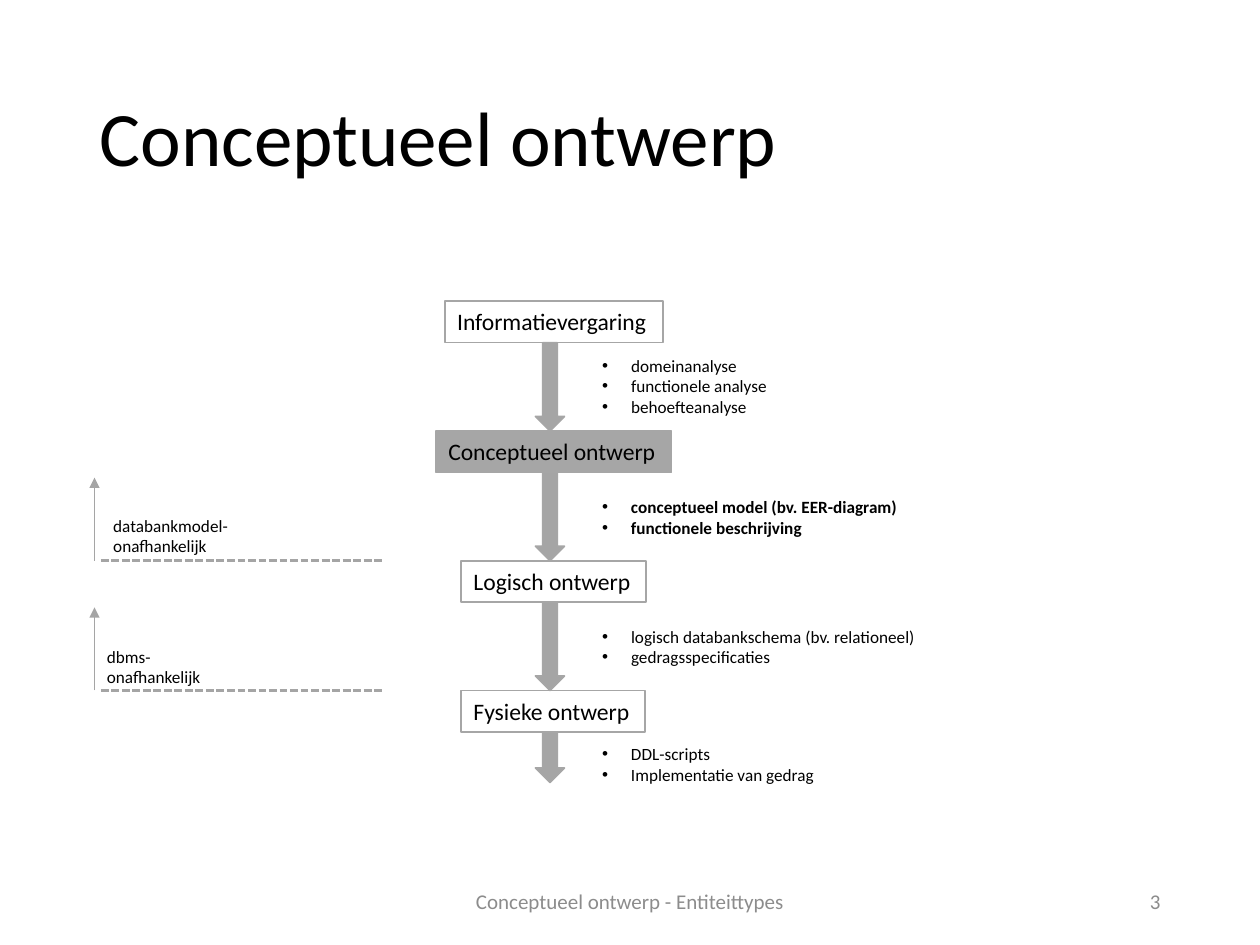
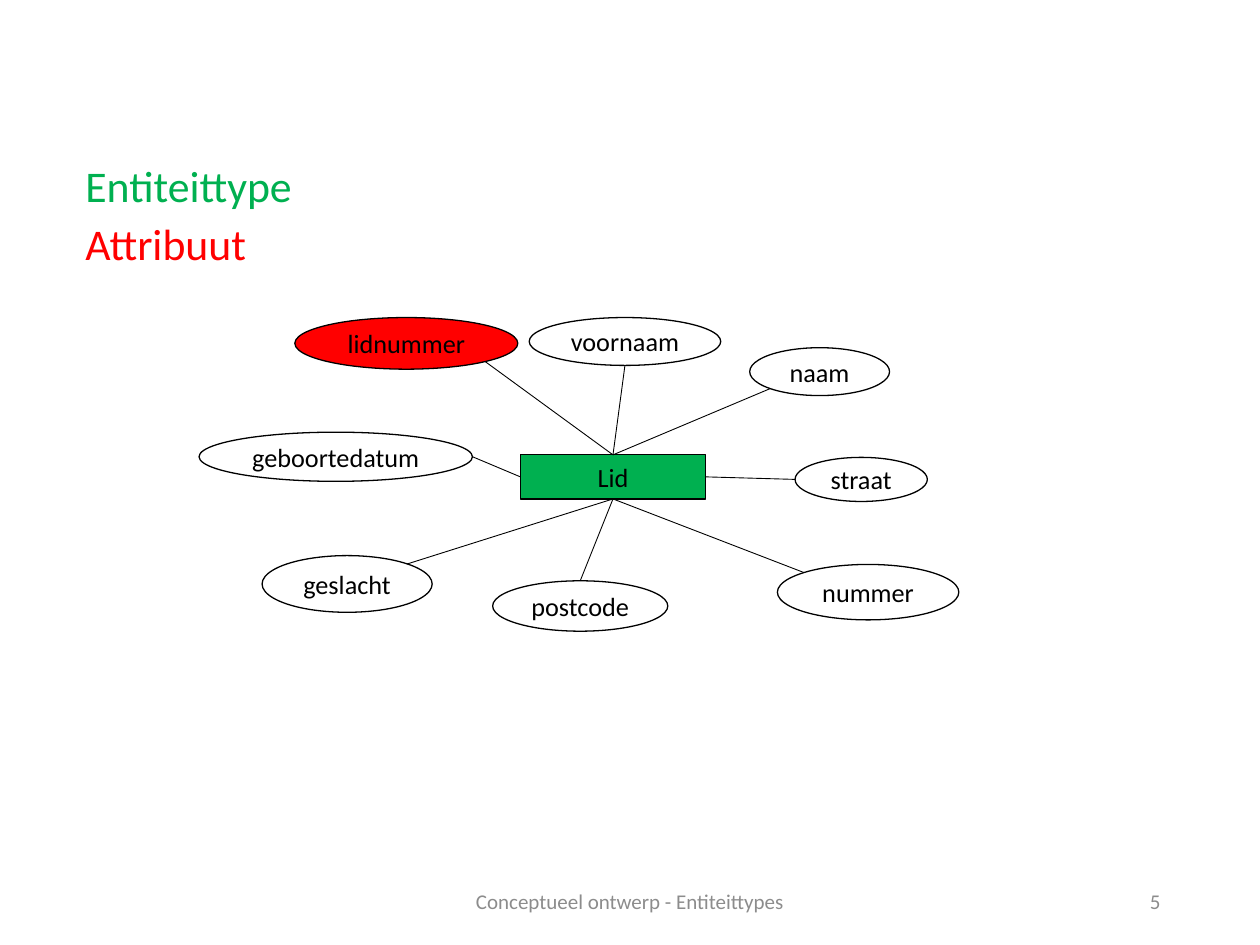
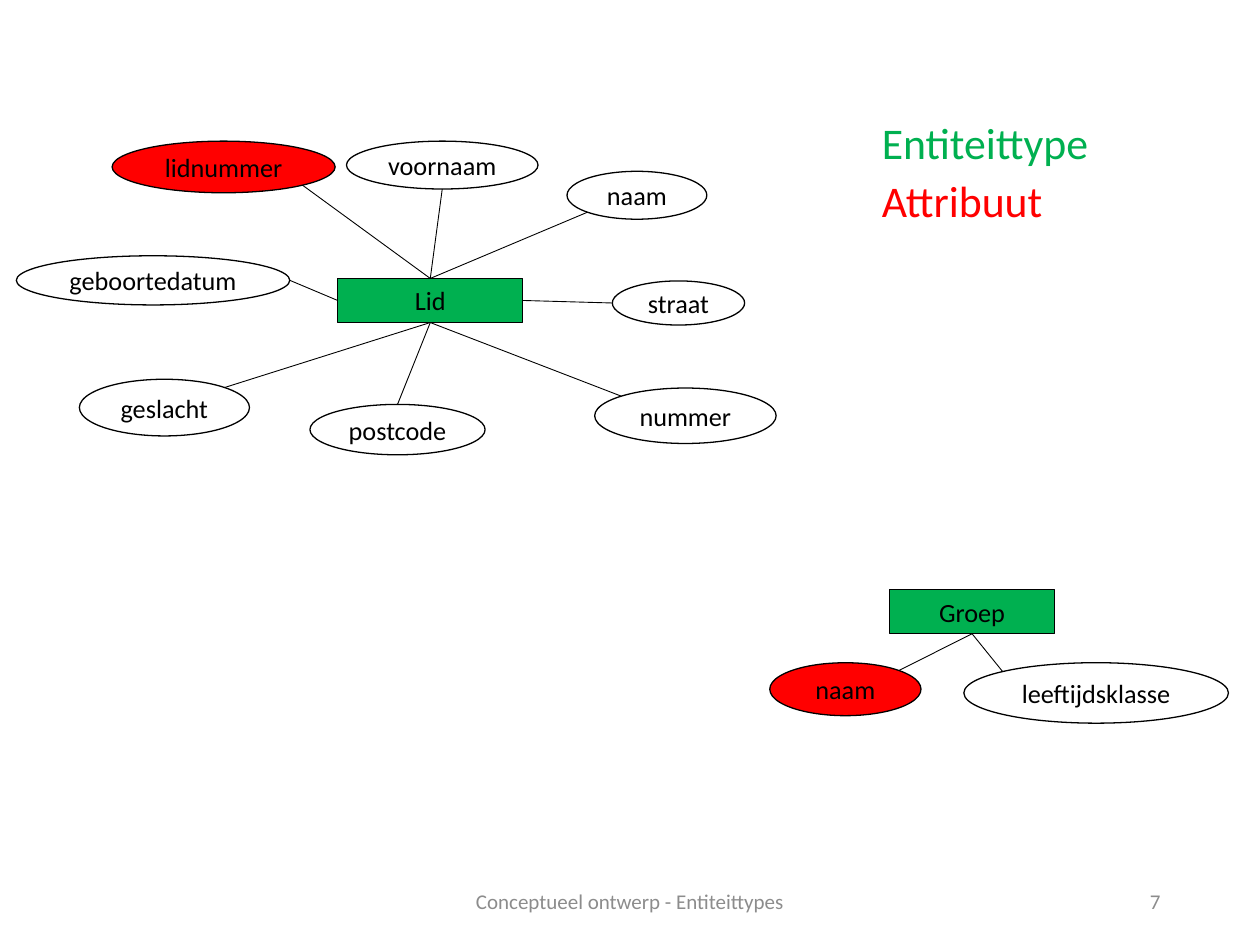
from dataclasses import dataclass
from math import sqrt

from lxml.etree import SubElement
from pptx import Presentation
from pptx.dml.color import RGBColor
from pptx.enum.dml import MSO_LINE
from pptx.enum.shapes import MSO_CONNECTOR, MSO_SHAPE
from pptx.enum.text import MSO_ANCHOR, MSO_AUTO_SIZE, PP_ALIGN
from pptx.oxml.ns import qn
from pptx.util import Pt

PX = 9144  # 100 px to the inch


@dataclass(frozen=True)
class Theme:
    font: str = "Calibri"
    black: RGBColor = RGBColor(0x00, 0x00, 0x00)
    white: RGBColor = RGBColor(0xFF, 0xFF, 0xFF)
    border: RGBColor = RGBColor(0xA6, 0xA6, 0xA6)
    arrow: RGBColor = RGBColor(0xA5, 0xA5, 0xA5)
    footer: RGBColor = RGBColor(0x8C, 0x8C, 0x8C)
    entity: RGBColor = RGBColor(0x00, 0xB0, 0x50)
    attribute: RGBColor = RGBColor(0xFF, 0x00, 0x00)
    title_size: float = 44
    legend_size: float = 25
    diagram_size: float = 15
    step_size: float = 13.5
    footer_size: float = 12
    note_size: float = 9.8


theme = Theme()


def write_text(shape, lines, size, color=theme.black, align=PP_ALIGN.LEFT,
               anchor=MSO_ANCHOR.TOP, wrap=False, bullets=False, bold=False):
    frame = shape.text_frame
    frame.text = "\n".join(lines)
    frame.word_wrap = wrap
    frame.vertical_anchor = anchor
    grows = anchor == MSO_ANCHOR.TOP
    frame.auto_size = MSO_AUTO_SIZE.SHAPE_TO_FIT_TEXT if grows else MSO_AUTO_SIZE.NONE
    for paragraph in frame.paragraphs:
        if bullets:
            properties = paragraph._p.get_or_add_pPr()
            properties.set("marL", str(23 * PX))
            properties.set("indent", str(-23 * PX))
            SubElement(properties, qn("a:buFont"), typeface="Arial")
            SubElement(properties, qn("a:buChar"), char="•")
        paragraph.alignment = align
        paragraph.font.name = theme.font
        paragraph.font.size = Pt(size)
        paragraph.font.bold = bold
        paragraph.font.color.rgb = color


def add_line(slide, x1, y1, x2, y2, color, width):
    line = slide.shapes.add_connector(
        MSO_CONNECTOR.STRAIGHT, *(round(value * PX) for value in (x1, y1, x2, y2)))
    line.line.color.rgb = color
    line.line.width = Pt(width)
    SubElement(line._element.spPr, qn("a:effectLst"))
    return line


presentation = Presentation()
presentation.slide_width = 1000 * PX
presentation.slide_height = 750 * PX
title_only, blank = presentation.slide_layouts[5], presentation.slide_layouts[6]
process_slide, lid_slide, groep_slide = (
    presentation.slides.add_slide(layout) for layout in (title_only, blank, blank))

# Title of the design process
title = process_slide.shapes.title
title.left, title.top, title.width, title.height = 69 * PX, 40 * PX, 862 * PX, 145 * PX
write_text(title, ["Conceptueel ontwerp"], theme.title_size,
           anchor=MSO_ANCHOR.MIDDLE, wrap=True)
title.text_frame.paragraphs[0].line_spacing = 0.9

# Design steps: name, width, fill, arrow length, results, results top, width, height, bold
STEP_CENTER, STEP_TOP, STEP_PITCH, STEP_HEIGHT = 439.5, 239, 103, 33
steps = [
    ("Informatievergaring", 173, theme.white, 70,
     ["domeinanalyse", "functionele analyse", "behoefteanalyse"], 277, 152, 59, False),
    ("Conceptueel ontwerp", 187, theme.border, 70,
     ["conceptueel model (bv. EER-diagram)", "functionele beschrijving"],
     389, 257, 43, True),
    ("Logisch ontwerp", 147, None, 70,
     ["logisch databankschema (bv. relationeel)", "gedragsspecificaties"],
     492, 271, 43, False),
    ("Fysieke ontwerp", 146, None, 40,
     ["DDL-scripts", "Implementatie van gedrag"], 585, 190, 43, False),
]
for index, (name, width, fill, arrow_length, results,
            results_top, results_width, results_height, bold) in enumerate(steps):
    top = STEP_TOP + index * STEP_PITCH
    box = process_slide.shapes.add_shape(
        MSO_SHAPE.RECTANGLE, int(STEP_CENTER - width / 2) * PX, top * PX,
        width * PX, STEP_HEIGHT * PX)
    arrow = process_slide.shapes.add_shape(
        MSO_SHAPE.DOWN_ARROW, 425 * PX, (top + STEP_HEIGHT) * PX, 23 * PX, arrow_length * PX)
    for shape, color in ((box, fill), (arrow, theme.arrow)):
        shape.shadow.inherit = False
        shape.line.color.rgb = theme.border
        shape.line.width = Pt(1)
        if color is None:
            shape.fill.background()
        else:
            shape.fill.solid()
            shape.fill.fore_color.rgb = color
    write_text(box, [name], theme.step_size)
    result_list = process_slide.shapes.add_textbox(
        468 * PX, results_top * PX, results_width * PX, results_height * PX)
    write_text(result_list, results, theme.note_size, bullets=True, bold=bold)

# Independence levels: boundary, label left, top, width, lines
levels = [
    (445, 80, 404, 111, ["databankmodel-", "onafhankelijk"]),
    (548, 75, 508, 95, ["dbms-", "onafhankelijk"]),
]
for boundary, left, top, width, lines in levels:
    dashes = add_line(process_slide, 80, boundary, 303, boundary, theme.arrow, 1.5)
    dashes.line.dash_style = MSO_LINE.SQUARE_DOT
    upward = add_line(process_slide, 75, boundary, 75, boundary - 66, theme.arrow, 1)
    SubElement(upward.line._get_or_add_ln(), qn("a:tailEnd"), type="triangle")
    label = process_slide.shapes.add_textbox(left * PX, top * PX, width * PX, 43 * PX)
    write_text(label, lines, theme.note_size)

# Attributes: name, offset from entity, size, line site on ellipse (x, y), entity side, key
TOP, LEFT, BOTTOM, RIGHT = range(4)
lid_attributes = [
    ("lidnummer", -179, -109, 177, 41, 1, 1, TOP, True),
    ("voornaam", 7, -109, 152, 38, 0, 1, TOP, False),
    ("naam", 182, -85, 111, 38, -1, 1, TOP, False),
    ("straat", 218, 2, 105, 35, -1, 0, RIGHT, False),
    ("nummer", 204, 87, 144, 44, -1, -1, BOTTOM, False),
    ("postcode", -22, 100, 139, 40, 0, -1, BOTTOM, False),
    ("geslacht", -205, 80, 135, 45, 1, -1, BOTTOM, False),
    ("geboortedatum", -255, -18, 217, 39, 1, 0, LEFT, False),
]
groep_attributes = [
    ("naam", -95, 58, 120, 42, 1, -1, BOTTOM, True),
    ("leeftijdsklasse", 59, 58, 210, 48, -1, -1, BOTTOM, False),
]

# Entity diagrams: slide, entity, left, top, width, attributes
diagrams = [
    (lid_slide, "Lid", 413, 361, 147, lid_attributes),
    (groep_slide, "Groep", 706, 468, 131, groep_attributes),
    (groep_slide, "Lid", 268, 221, 147, lid_attributes),
]
for slide, entity_name, left, top, entity_width, attributes in diagrams:
    entity = slide.shapes.add_shape(
        MSO_SHAPE.RECTANGLE, left * PX, top * PX, entity_width * PX, 35 * PX)
    nodes = [(entity, entity_name, theme.entity, MSO_ANCHOR.TOP)]
    for name, dx, dy, width, height, site_x, site_y, side, is_key in attributes:
        x, y = left + dx, top + dy
        ellipse = slide.shapes.add_shape(
            MSO_SHAPE.OVAL, x * PX, y * PX, width * PX, height * PX)
        fill = theme.attribute if is_key else theme.white
        nodes.append((ellipse, name, fill, MSO_ANCHOR.MIDDLE))
        reach = 2 * sqrt(abs(site_x) + abs(site_y))
        start_x = x + width / 2 + site_x * width / reach
        start_y = y + height / 2 + site_y * height / reach
        link = add_line(slide, start_x, start_y, left, top, theme.black, 0.5)
        link.end_connect(entity, side)
    for shape, name, fill, anchor in nodes:
        shape.shadow.inherit = False
        shape.fill.solid()
        shape.fill.fore_color.rgb = fill
        shape.line.color.rgb = theme.black
        shape.line.width = Pt(0.75)
        write_text(shape, [name], theme.diagram_size, align=PP_ALIGN.CENTER, anchor=anchor)

# Legends
for slide, left, top in ((lid_slide, 58, 121), (groep_slide, 690, 87)):
    for row, (name, width, color) in enumerate(
            [("Entiteittype", 187, theme.entity), ("Attribuut", 150, theme.attribute)]):
        legend = slide.shapes.add_textbox(
            left * PX, (top + row * 46) * PX, width * PX, 52 * PX)
        write_text(legend, [name], theme.legend_size, color)

# Footers and slide numbers
for slide, number in ((process_slide, "3"), (lid_slide, "5"), (groep_slide, "7")):
    for text, left, width, align in (
            ("Conceptueel ontwerp - Entiteittypes", 331, 338, PP_ALIGN.CENTER),
            (number, 706, 225, PP_ALIGN.RIGHT)):
        footer = slide.shapes.add_textbox(left * PX, 695 * PX, width * PX, 40 * PX)
        write_text(footer, [text], theme.footer_size, theme.footer, align,
                   MSO_ANCHOR.MIDDLE, wrap=True)

presentation.save("out.pptx")
